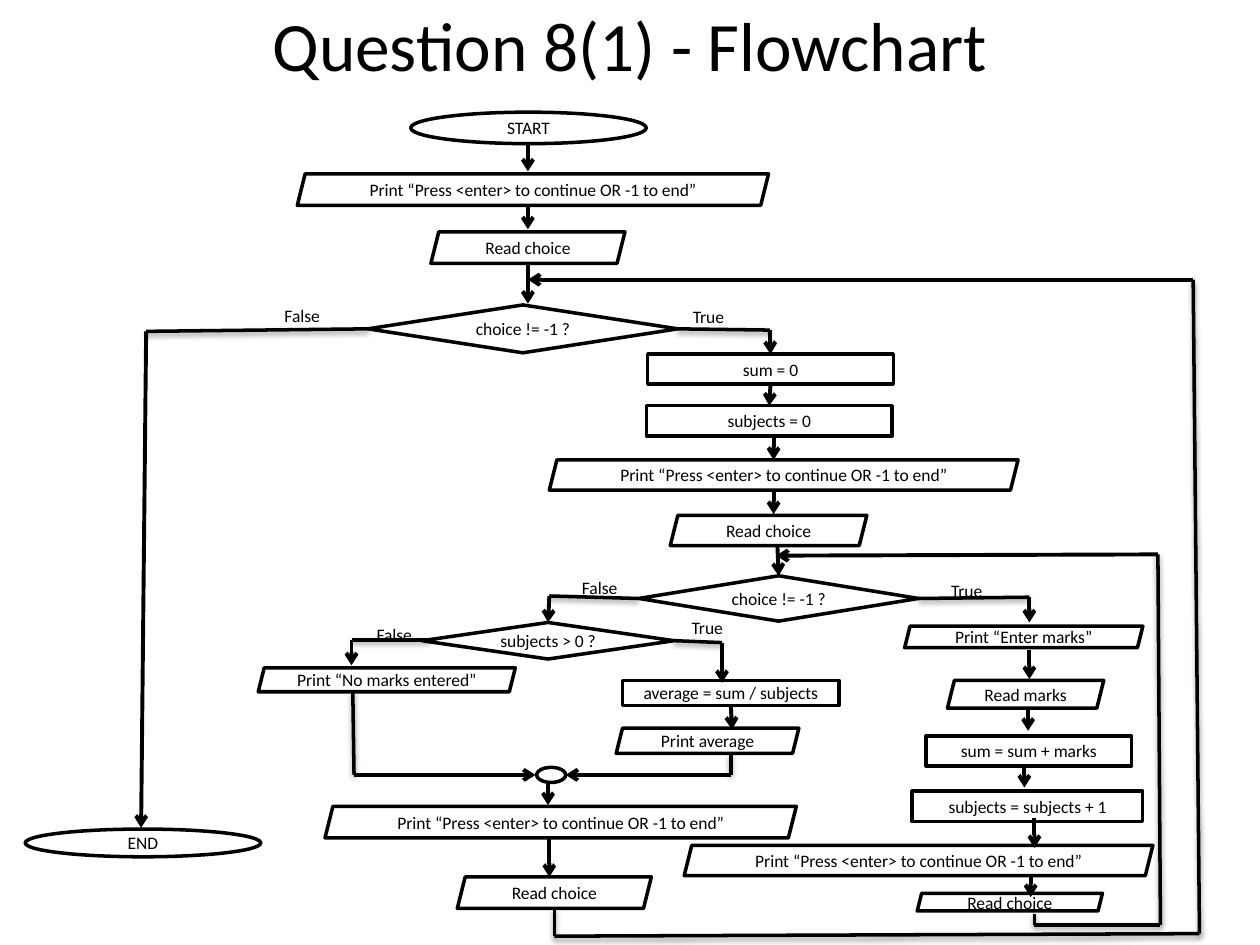
from dataclasses import dataclass
from itertools import pairwise
from math import dist

from lxml.etree import SubElement
from pptx import Presentation
from pptx.dml.color import RGBColor
from pptx.enum.shapes import MSO_CONNECTOR, MSO_SHAPE as Shape
from pptx.enum.text import MSO_ANCHOR, MSO_AUTO_SIZE, PP_ALIGN
from pptx.oxml.ns import qn
from pptx.util import Inches, Pt


@dataclass(frozen=True)
class Theme:
    font: str = "Calibri"
    ink: RGBColor = RGBColor(0, 0, 0)
    paper: RGBColor = RGBColor(255, 255, 255)
    title_size: float = 39.6
    body_size: float = 10
    outline: float = 2
    arrow: float = 2.25


THEME = Theme()
TITLE = "Question 8(1) - Flowchart"
PROMPT = "Print “Press <enter> to continue OR -1 to end”"
READ = "Read choice"
CHECK = "choice != -1 ?"

# Steps by kind: text, left, top, width, height in inches
STEPS = {
    Shape.OVAL: [
        ("START", 3.26, 0.89, 1.87, 0.25),
        ("END", 0.2, 6.58, 1.87, 0.22),
        ("", 4.26, 6.09, 0.23, 0.12),
    ],
    Shape.DIAMOND: [
        (CHECK, 2.92, 2.42, 2.46, 0.38),
        (CHECK, 5.07, 4.57, 2.22, 0.36),
        ("subjects > 0 ?", 3.35, 4.94, 2, 0.29),
    ],
    Shape.PARALLELOGRAM: [
        (PROMPT, 2.36, 1.38, 3.74, 0.25),
        (READ, 3.42, 1.84, 1.54, 0.25),
        (PROMPT, 4.36, 3.65, 3.72, 0.24),
        (READ, 5.32, 4.09, 1.56, 0.24),
        ("Print “Enter marks”", 7.18, 4.97, 1.89, 0.17),
        ("Read marks", 7.52, 5.4, 1.24, 0.22),
        (PROMPT, 5.43, 6.71, 3.72, 0.24),
        (READ, 7.28, 7.09, 1.47, 0.14),
        ("Print “No marks entered”", 2.05, 5.3, 2.04, 0.19),
        ("Print average", 4.89, 5.78, 1.45, 0.2),
        (PROMPT, 2.58, 6.4, 3.74, 0.25),
        (READ, 3.63, 6.96, 1.54, 0.25),
    ],
    Shape.RECTANGLE: [
        ("sum = 0", 5.14, 2.81, 1.95, 0.24),
        ("subjects = 0", 5.13, 3.22, 1.95, 0.24),
        ("sum = sum + marks", 7.35, 5.84, 1.63, 0.24),
        ("subjects = subjects + 1", 7.24, 6.28, 1.83, 0.24),
        ("average = sum / subjects", 4.94, 5.4, 1.72, 0.2),
    ],
}

# Arrows straight down: x, from y, to y
DROPS = [
    (4.19, 1.14, 1.36), (4.19, 1.64, 1.82), (4.19, 2.08, 2.41),
    (6.11, 3.05, 3.22), (6.14, 3.47, 3.65), (6.14, 3.9, 4.08),
    (6.17, 4.33, 4.56), (8.17, 5.16, 5.39), (8.16, 5.62, 5.8),
    (8.13, 6.07, 6.25), (8.21, 6.49, 6.73), (8.18, 6.96, 7.12),
    (5.81, 5.61, 5.79), (4.35, 6.2, 6.39), (4.36, 6.66, 6.96),
]

# Bent routes: only the last stretch carries an arrowhead
BRANCHES = [
    [(2.92, 2.61), (1.16, 2.63), (1.12, 6.57)],
    [(5.36, 2.61), (6.11, 2.62), (6.11, 2.81)],
    [(5.09, 4.74), (4.36, 4.73), (4.36, 4.92)],
    [(7.29, 4.74), (8.17, 4.74), (8.17, 4.94)],
    [(3.41, 5.08), (2.79, 5.08), (2.79, 5.28)],
    [(5.35, 5.08), (5.73, 5.1), (5.73, 5.42)],
]
MERGES = [
    [(2.8, 5.49), (2.81, 6.15), (4.25, 6.15)],
    [(5.8, 5.98), (5.8, 6.15), (4.49, 6.15)],
]
LOOPS = [
    [(4.4, 7.21), (4.4, 7.43), (9.52, 7.41), (9.47, 2.22), (4.19, 2.22)],
    [(8.21, 7.25), (8.21, 7.34), (9.21, 7.34), (9.19, 4.4), (6.16, 4.41)],
]

# Branch labels: text, left, top, width, height
LABELS = [
    ("False", 2.16, 2.37, 0.67, 0.17),
    ("True", 5.4, 2.38, 0.63, 0.22),
    ("False", 4.52, 4.53, 0.68, 0.22),
    ("True", 7.45, 4.55, 0.63, 0.22),
    ("False", 2.89, 4.9, 0.66, 0.18),
    ("True", 5.39, 4.85, 0.61, 0.18),
]
JOIN_REACH = 0.03


def write(frame, text, size, align):
    paragraph = frame.paragraphs[0]
    paragraph.alignment = align
    run = paragraph.add_run()
    run.text = text
    run.font.name = THEME.font
    run.font.size = Pt(size)
    run.font.color.rgb = THEME.ink


def add_title(slide):
    title = slide.shapes.title
    title.left, title.top, title.width, title.height = map(Inches, (0.5, 0.09, 9, 0.52))
    frame = title.text_frame
    frame.auto_size = MSO_AUTO_SIZE.NONE
    frame.vertical_anchor = MSO_ANCHOR.MIDDLE
    write(frame, TITLE, THEME.title_size, PP_ALIGN.CENTER)


def add_step(slide, kind, text, *box):
    step = slide.shapes.add_shape(kind, *map(Inches, box))
    step.shadow.inherit = False
    if kind == Shape.OVAL:
        step.fill.solid()
        step.fill.fore_color.rgb = THEME.paper
    else:
        step.fill.background()
    step.line.color.rgb = THEME.ink
    step.line.width = Pt(THEME.outline)
    if text:
        step.text_frame.vertical_anchor = MSO_ANCHOR.MIDDLE
        write(step.text_frame, text, THEME.body_size, PP_ALIGN.CENTER)
    return step


def side_middles(left, top, width, height):
    """Middles in connection-site order: top, left, bottom, right."""
    x, y = left + width / 2, top + height / 2
    return [(x, top), (left, y), (x, top + height), (left + width, y)]


def add_link(slide, sites, start, end, has_head):
    link = slide.shapes.add_connector(
        MSO_CONNECTOR.STRAIGHT, *map(Inches, (*start, *end)))
    for point, connect in ((start, link.begin_connect), (end, link.end_connect)):
        for step, index, middle in sites:
            if dist(point, middle) <= JOIN_REACH:
                connect(step, index)
    link.line.color.rgb = THEME.ink
    link.line.width = Pt(THEME.arrow if has_head else THEME.outline)
    properties = link._element.spPr
    effects = SubElement(properties, qn("a:effectLst"))
    if has_head:
        SubElement(properties.find(qn("a:ln")), qn("a:tailEnd"), type="arrow")
    else:
        shadow = SubElement(effects, qn("a:outerShdw"), blurRad=str(Pt(3.1)),
                            dist=str(Pt(1.6)), dir="5400000", rotWithShape="0")
        color = SubElement(shadow, qn("a:srgbClr"), val=str(THEME.ink))
        SubElement(color, qn("a:alpha"), val="38000")


def add_label(slide, text, *box):
    frame = slide.shapes.add_textbox(*map(Inches, box)).text_frame
    frame.word_wrap = True
    frame.auto_size = MSO_AUTO_SIZE.SHAPE_TO_FIT_TEXT
    write(frame, text, THEME.body_size, PP_ALIGN.LEFT)


def main():
    deck = Presentation()
    deck.slide_width, deck.slide_height = Inches(10), Inches(7.5)
    slide = deck.slides.add_slide(deck.slide_layouts[5])
    add_title(slide)

    sites = []
    for kind, steps in STEPS.items():
        for text, *box in steps:
            step = add_step(slide, kind, text, *box)
            if kind in (Shape.RECTANGLE, Shape.DIAMOND):
                sites += [(step, i, middle) for i, middle in enumerate(side_middles(*box))]

    drops = [[(x, top), (x, bottom)] for x, top, bottom in DROPS]
    for route in drops + BRANCHES + MERGES + LOOPS:
        for start, end in pairwise(route):
            add_link(slide, sites, start, end, has_head=end == route[-1])
    for label in LABELS:
        add_label(slide, *label)
    deck.save("out.pptx")


if __name__ == "__main__":
    main()
